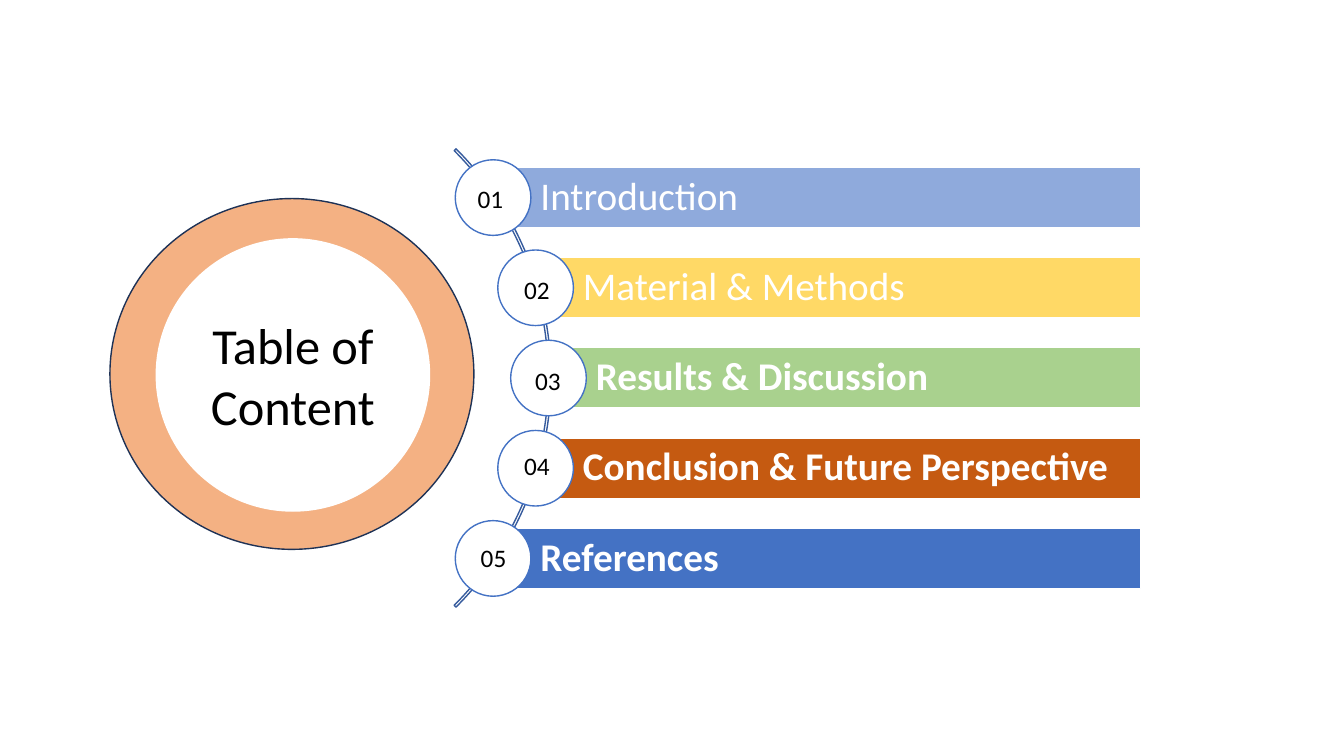
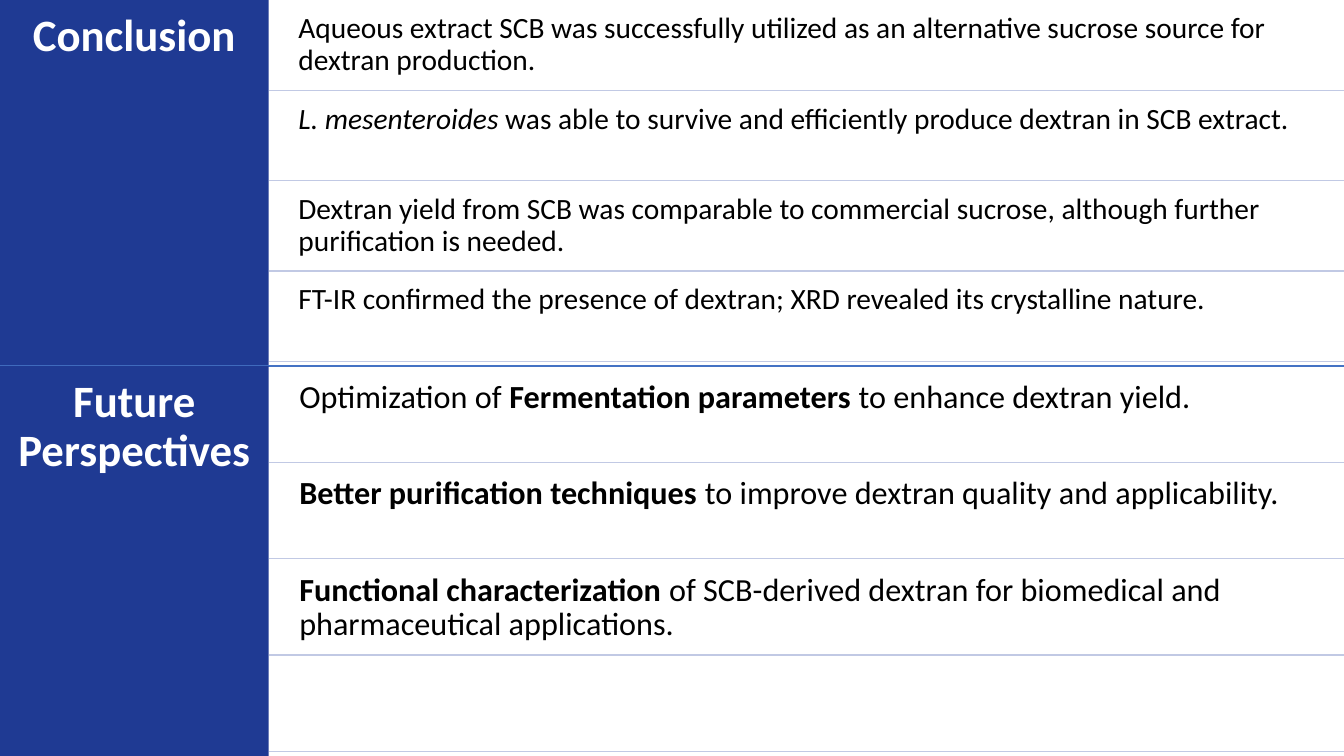
import math

import lxml.etree
import pptx
import pptx.chart.data
import pptx.dml.color
import pptx.enum.shapes
import pptx.enum.text
import pptx.oxml.ns
import pptx.util

KIND = pptx.enum.shapes.MSO_SHAPE
ALIGN = pptx.enum.text.PP_ALIGN
ANCHOR = pptx.enum.text.MSO_ANCHOR
WIDE, HIGH = 13.33, 7.5

HUE = {
    "white": "FFFFFF", "black": "000000", "blue": "4472C4", "sky": "8FAADC",
    "gold": "FFD966", "green": "A9D18E", "rust": "C55A11", "peach": "F4B183",
    "ink": "1E3256", "arc": "365B9D", "navy": "1F3A93", "rule": "C1C9E4",
}

# label, bar colour, bold, number, place of the number
TOPICS = [
    ("Introduction", "sky", False, "01", (4.64, 1.77)),
    ("Material & Methods", "gold", False, "02", (5.1, 2.67)),
    ("Results & Discussion", "green", True, "03", (5.21, 3.58)),
    ("Conclusion & Future Perspective", "rust", True, "04", (5.1, 4.42)),
    ("References", "blue", True, "05", (4.67, 5.33)),
]

# Each row is a list of runs: text, then the style that is switched on
PARTS = [
    {"title": "Conclusion", "top": 0, "tall": 3.63, "size": 21, "pad": 0.09, "rows": [
        [("Aqueous extract SCB was successfully utilized as an alternative "
          "sucrose source for dextran production.", "")],
        [("L. mesenteroides ", "italic"),
         ("was able to survive and efficiently produce dextran in SCB extract.", "")],
        [("Dextran yield from SCB was comparable to commercial sucrose, "
          "although further purification is needed.", "")],
        [("FT-IR confirmed the presence of dextran; XRD revealed its "
          "crystalline nature.", "")],
    ]},
    {"title": "Future Perspectives", "top": 3.63, "tall": HIGH - 3.63, "size": 23,
     "pad": 0.1, "rows": [
        [("Optimization of ", ""), ("Fermentation parameters ", "bold"),
         ("to enhance dextran yield.", "")],
        [("Better purification techniques ", "bold"),
         ("to improve dextran quality and applicability.", "")],
        [("Functional characterization ", "bold"),
         ("of SCB-derived dextran for biomedical and pharmaceutical "
          "applications.", "")],
        [],
    ]},
]


def inch(*nums):
    return [pptx.util.Inches(n) for n in nums]


def rgb(name):
    return pptx.dml.color.RGBColor.from_string(HUE[name])


def shape(slide, kind, box, fill, line):
    item = slide.shapes.add_shape(kind, *inch(*box))
    item.shadow.inherit = False
    if fill:
        item.fill.solid()
        item.fill.fore_color.rgb = rgb(fill)
    else:
        item.fill.background()
    if line:
        item.line.color.rgb = rgb(line)
        item.line.width = pptx.util.Pt(1)
    else:
        item.line.fill.background()
    return item


def write(item, runs, size, hue, pads=(0.1, 0.05, 0.1, 0.05),
          anchor=ANCHOR.TOP, align=ALIGN.LEFT, space=1.0, wrap=True):
    """Fill a shape with one paragraph; pads are left, top, right, bottom."""
    frame = item.text_frame
    form = {"word_wrap": wrap, "vertical_anchor": anchor}
    sides = ("left", "top", "right", "bottom")
    form.update({f"margin_{s}": n for s, n in zip(sides, inch(*pads))})
    for key, val in form.items():
        setattr(frame, key, val)
    para = frame.paragraphs[0]
    para.alignment, para.line_spacing = align, space
    for text, style in runs:
        run = para.add_run()
        run.text = text
        run.font.color.rgb = rgb(hue)
        look = {"name": "Calibri", "size": pptx.util.Pt(size),
                "bold": style == "bold", "italic": style == "italic"}
        for key, val in look.items():
            setattr(run.font, key, val)


def rule(slide, left, top, hue):
    line = slide.shapes.add_connector(
        pptx.enum.shapes.MSO_CONNECTOR.STRAIGHT, *inch(left, top, WIDE, top))
    line.line.color.rgb = rgb(hue)
    line.line.width = pptx.util.Pt(1)
    props = line._element.spPr
    lxml.etree.SubElement(props, pptx.oxml.ns.qn("a:effectLst"))


def agenda(slide):
    hub, mid, reach = 2.25, HIGH / 2, 3.19
    span, dot, bar, step, edge = 6.43, 0.75, 0.6, 0.895, 11.31
    arc = shape(slide, KIND.BLOCK_ARC, (hub - span / 2, mid - span / 2, span, span),
                None, "arc")
    for i, val in enumerate((189, 27, 0.004)):
        arc.adjustments[i] = val

    for i, (label, hue, bold, _, _) in enumerate(TOPICS):
        rise = (i - len(TOPICS) // 2) * step
        x, y = hub + math.sqrt(reach ** 2 - rise ** 2), mid + rise
        band = shape(slide, KIND.RECTANGLE, (x, y - bar / 2, edge - x, bar), hue, "white")
        write(band, [(label, "bold" if bold else "")], 28, "white",
              (0.47, 0.08, 0.08, 0.08), ANCHOR.MIDDLE, space=0.9)
        shape(slide, KIND.OVAL, (x - dot / 2, y - dot / 2, dot, dot), "white", "blue")

    shape(slide, KIND.FLOWCHART_CONNECTOR, (1.09, 1.97, 3.61, 3.48), "peach", "ink")
    disc = shape(slide, KIND.FLOWCHART_CONNECTOR, (1.55, 2.37, 2.71, 2.7),
                 "white", "white")
    write(disc, [("Table of Content", "")], 36, "black",
          anchor=ANCHOR.MIDDLE, align=ALIGN.CENTER)
    for *_, num, spot in TOPICS:
        tag = slide.shapes.add_textbox(*inch(*spot, 0.46, 0.4))
        write(tag, [(num, "")], 18, "black", wrap=False)


def closing(slide):
    side, left = WIDE / 5, 2.87
    for part in PARTS:
        top, tall, rows = part["top"], part["tall"], part["rows"]
        if top:
            rule(slide, 0, top, "blue")
        panel = shape(slide, KIND.RECTANGLE, (0, top, side, tall), "navy", None)
        write(panel, [(part["title"], "bold")], 32, "white", (0.13,) * 4,
              align=ALIGN.CENTER, space=0.9)
        # Gaps are a twentieth of a row, above, between and below the rows
        deep = tall / (len(rows) + (len(rows) + 1) / 20)
        gap = deep / 20
        for i, runs in enumerate(rows):
            y = top + gap + i * (deep + gap)
            if runs:
                note = slide.shapes.add_textbox(*inch(left, y, WIDE - left, deep))
                write(note, runs, part["size"], "black", (part["pad"],) * 4, space=0.9)
            rule(slide, side, y + deep, "rule")


def main():
    deck = pptx.Presentation()
    deck.slide_width, deck.slide_height = inch(WIDE, HIGH)
    for draw in (agenda, closing):
        draw(deck.slides.add_slide(deck.slide_layouts[6]))
    deck.save("out.pptx")


if __name__ == "__main__":
    main()
